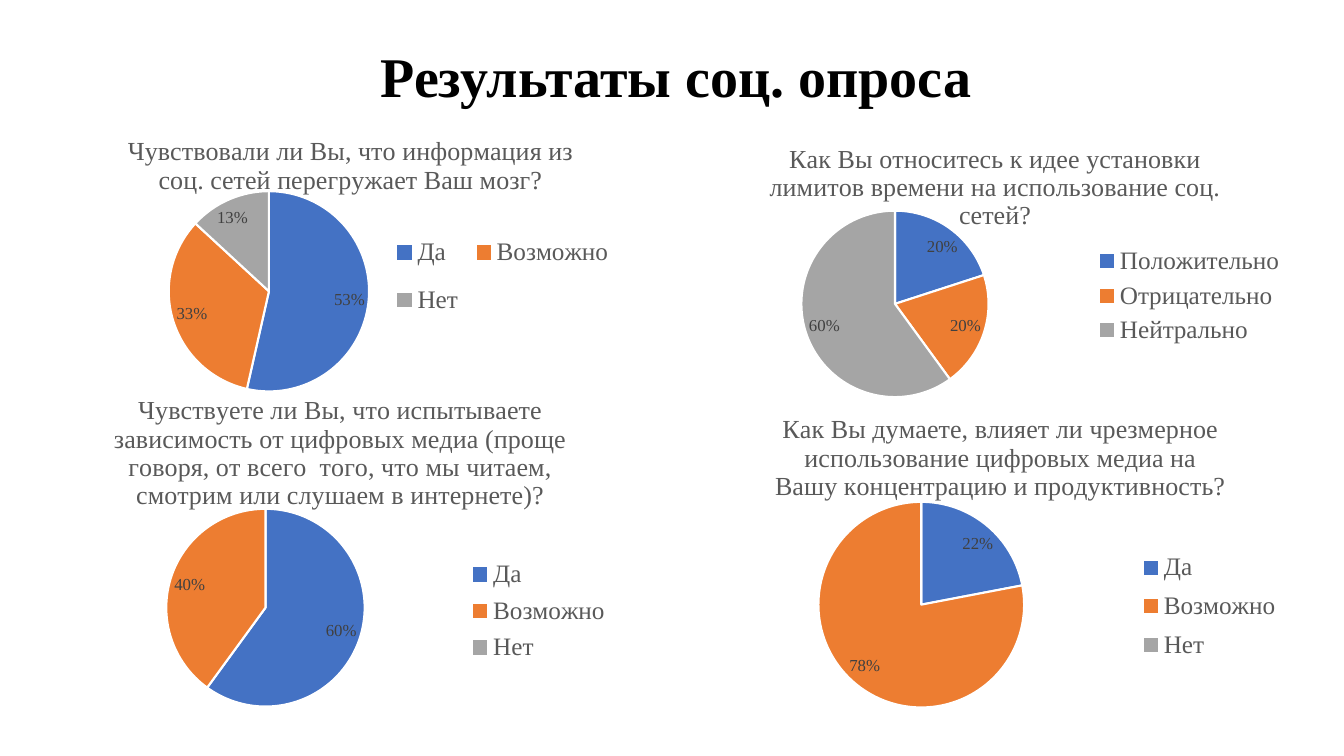
from lxml import etree
from pptx import Presentation
from pptx import util as u
from pptx.chart import data as cd
from pptx.dml.color import RGBColor
from pptx.enum import chart as ec, text
from pptx.oxml import ns


def rgb(value):
    return RGBColor.from_string(value)


class Deck:
    font = "Times New Roman"
    grey = "595959"
    slices = ("4472C4", "ED7D31", "A5A5A5")

    def __init__(self, prs):
        self.s = prs.slides.add_slide(prs.slide_layouts[6])

    def style(self, font, size, color, bold=False):
        font.name = self.font
        font.size = u.Pt(size)
        font.bold = bold
        font.color.rgb = rgb(color)

    def layout(self, parent, index, box, inner=False):
        for old in parent.findall(ns.qn("c:layout")):
            parent.remove(old)
        holder = etree.Element(ns.qn("c:layout"))
        manual = etree.SubElement(holder, ns.qn("c:manualLayout"))
        items = [("layoutTarget", "inner")] if inner else []
        items += [("xMode", "edge"), ("yMode", "edge")]
        items += zip("xywh", box)
        for tag, value in items:
            etree.SubElement(manual, ns.qn("c:" + tag)).set("val", str(value))
        parent.insert(index, holder)

    def heading(self, words, x, y, w, h):
        sp = self.s.shapes.add_textbox(*map(u.Inches, (x, y, w, h)))
        tf = sp.text_frame
        tf.word_wrap = True
        p = tf.paragraphs[0]
        p.alignment = text.PP_ALIGN.CENTER
        r = p.add_run()
        r.text = words
        self.style(r.font, 40, "000000", True)

    def pie(self, question, answers, box, plot_box, legend_box):
        data = cd.CategoryChartData()
        data.categories = list(answers)
        data.add_series(question, list(answers.values()))
        chart = self.s.shapes.add_chart(
            ec.XL_CHART_TYPE.PIE, *map(u.Inches, box), data).chart
        self.style(chart.font, 10, "000000")

        chart.has_title = True
        r = chart.chart_title.text_frame.paragraphs[0].add_run()
        r.text = question
        self.style(r.font, 18.6, self.grey)
        chart.chart_title.include_in_layout = False

        chart.has_legend = True
        legend = chart.legend
        legend.position = ec.XL_LEGEND_POSITION.RIGHT
        legend.include_in_layout = False
        self.style(legend.font, 18, self.grey)
        self.layout(legend._element, 1, legend_box)

        plot = chart.plots[0]
        plot.vary_by_categories = True
        self.layout(plot._element.getparent(), 0, plot_box, True)
        for i, color in enumerate(self.slices):
            fmt = plot.series[0].points[i].format
            fmt.fill.solid()
            fmt.fill.fore_color.rgb = rgb(color)
            fmt.line.color.rgb = rgb("FFFFFF")
            fmt.line.width = u.Pt(1.5)

        labels = plot.series[0].data_labels
        labels.show_value = True
        labels.number_format = '0"%";;'
        labels.number_format_is_linked = False
        labels.position = ec.XL_LABEL_POSITION.BEST_FIT
        self.style(labels.font, 12, "404040")


def main():
    prs = Presentation()
    prs.slide_width, prs.slide_height = u.Inches(13.33), u.Inches(7.5)
    deck = Deck(prs)
    deck.pie("Чувствуете ли Вы, что испытываете зависимость от цифровых медиа "
             "(проще говоря, от всего  того, что мы читаем, смотрим или "
             "слушаем в интернете)?",
             {"Да": 60, "Возможно": 40, "Нет": 0},
             (0.15, 3.74, 6.45, 3.28),
             (0.23, 0.4, 0.31, 0.6), (0.69, 0.53, 0.23, 0.36))
    deck.pie("Как Вы думаете, влияет ли чрезмерное использование цифровых "
             "медиа на Вашу концентрацию и продуктивность?",
             {"Да": 22, "Возможно": 78, "Нет": 0},
             (7.01, 3.93, 5.83, 3.16),
             (0.19, 0.33, 0.35, 0.65), (0.73, 0.46, 0.25, 0.4))
    deck.pie("Чувствовали ли Вы, что информация из соц. сетей перегружает "
             "Ваш мозг?",
             {"Да": 53, "Возможно": 33, "Нет": 13},
             (0.47, 1.18, 6.02, 2.76),
             (0.2, 0.26, 0.33, 0.72), (0.56, 0.36, 0.38, 0.41))
    deck.heading("Результаты соц. опроса", 3.48, 0.36, 6.45, 0.77)
    deck.pie("Как Вы относитесь к идее установки лимитов времени на "
             "использование соц. сетей?",
             {"Положительно": 20, "Отрицательно": 20, "Нейтрально": 60},
             (6.86, 1.26, 6.02, 2.69),
             (0.17, 0.31, 0.33, 0.69), (0.66, 0.42, 0.32, 0.41))
    prs.save("out.pptx")


if __name__ == "__main__":
    main()
